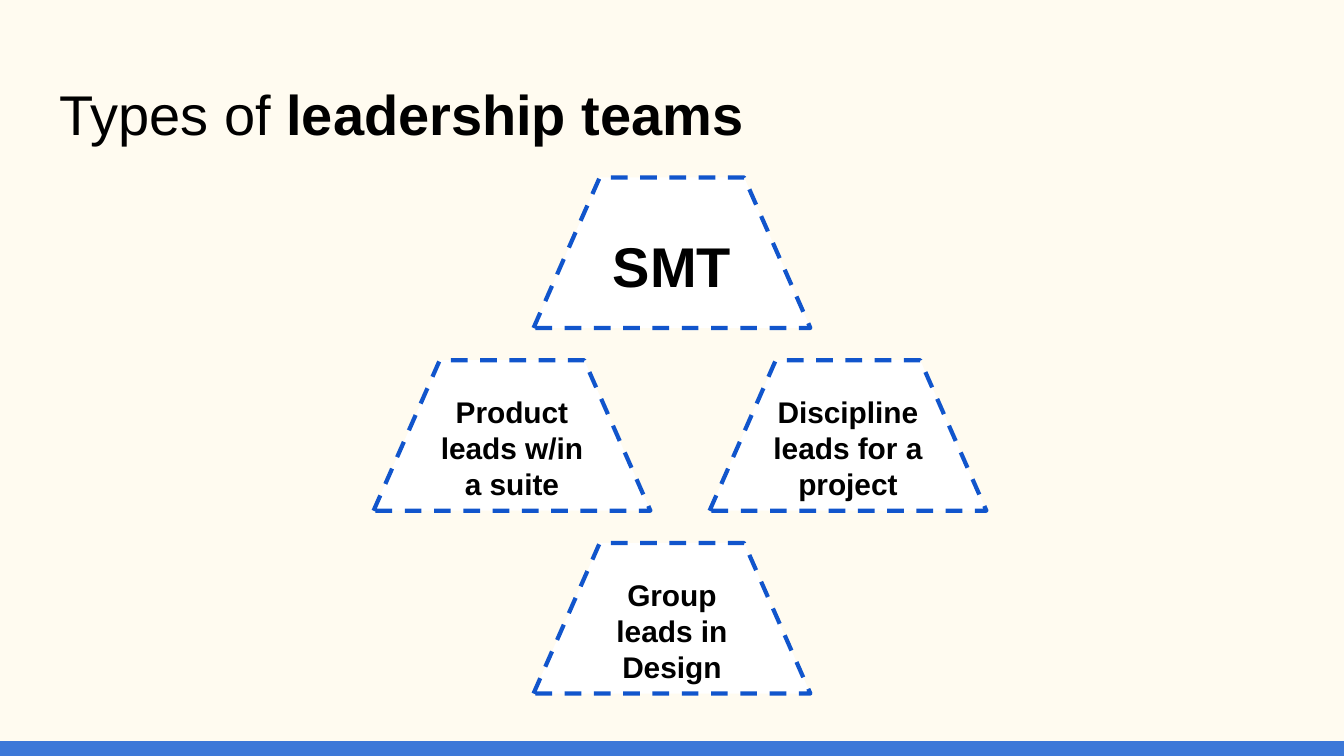
from pptx import Presentation
from pptx.dml.color import RGBColor
from pptx.enum.dml import MSO_LINE
from pptx.enum.shapes import MSO_SHAPE
from pptx.enum.text import MSO_ANCHOR, MSO_AUTO_SIZE, PP_ALIGN
from pptx.util import Inches, Pt

CREAM = RGBColor(0xFF, 0xFB, 0xF0)
BAR_BLUE = RGBColor(0x3C, 0x78, 0xD8)
LINE_BLUE = RGBColor(0x11, 0x55, 0xCC)
WHITE = RGBColor(0xFF, 0xFF, 0xFF)
BLACK = RGBColor(0x00, 0x00, 0x00)

slide_w = 10
slide_h = slide_w * 9 / 16
prs = Presentation()
prs.slide_width, prs.slide_height = Inches(slide_w), Inches(slide_h)
s = prs.slides.add_slide(prs.slide_layouts[5])
s.background.fill.solid()
s.background.fill.fore_color.rgb = CREAM


def add_run(p, text, size, bold):
    r = p.add_run()
    r.text = text
    r.font.name = "Arial"
    r.font.size = Pt(size)
    r.font.bold = bold
    r.font.color.rgb = BLACK


def add_box(kind, x, y, w, h, fill):
    sp = s.shapes.add_shape(kind, Inches(x), Inches(y), Inches(w), Inches(h))
    sp.shadow.inherit = False
    sp.fill.solid()
    sp.fill.fore_color.rgb = fill
    return sp


bar_h = 0.11
bar = add_box(MSO_SHAPE.RECTANGLE, 0, slide_h - bar_h, slide_w, bar_h, BAR_BLUE)
bar.line.fill.background()

title = s.shapes.title
title.left, title.top = Inches(0.34), Inches(0.49)
title.width, title.height = Inches(9.32), Inches(0.67)
tf = title.text_frame
tf.auto_size = MSO_AUTO_SIZE.NONE
tf.vertical_anchor = MSO_ANCHOR.TOP
tf.margin_left = tf.margin_right = tf.margin_top = tf.margin_bottom = Inches(0.1)
p = tf.paragraphs[0]
p.alignment = PP_ALIGN.LEFT
add_run(p, "Types of ", 30, False)
add_run(p, "leadership teams", 30, True)

team_w, team_h = 2.06, 1.12
left_x, mid_x, right_x = 2.78, (slide_w - team_w) / 2, 5.28
top_y, row_step = 1.32, 1.36
teams = [
    ("SMT", mid_x, 0, 30),
    ("Discipline leads for a project", right_x, 1, 16),
    ("Product leads w/in a suite", left_x, 1, 16),
    ("Group leads in Design", mid_x, 2, 16),
]
for text, x, row, size in teams:
    sp = add_box(MSO_SHAPE.TRAPEZOID, x, top_y + row * row_step, team_w, team_h, WHITE)
    sp.adjustments[0] = 0.44
    sp.line.color.rgb = LINE_BLUE
    sp.line.width = Pt(2.25)
    sp.line.dash_style = MSO_LINE.DASH
    tf = sp.text_frame
    tf.word_wrap = True
    tf.vertical_anchor = MSO_ANCHOR.MIDDLE
    tf.margin_left = tf.margin_right = tf.margin_top = tf.margin_bottom = Inches(0.1)
    p = tf.paragraphs[0]
    p.alignment = PP_ALIGN.CENTER
    add_run(p, text, size, True)

prs.save("out.pptx")
